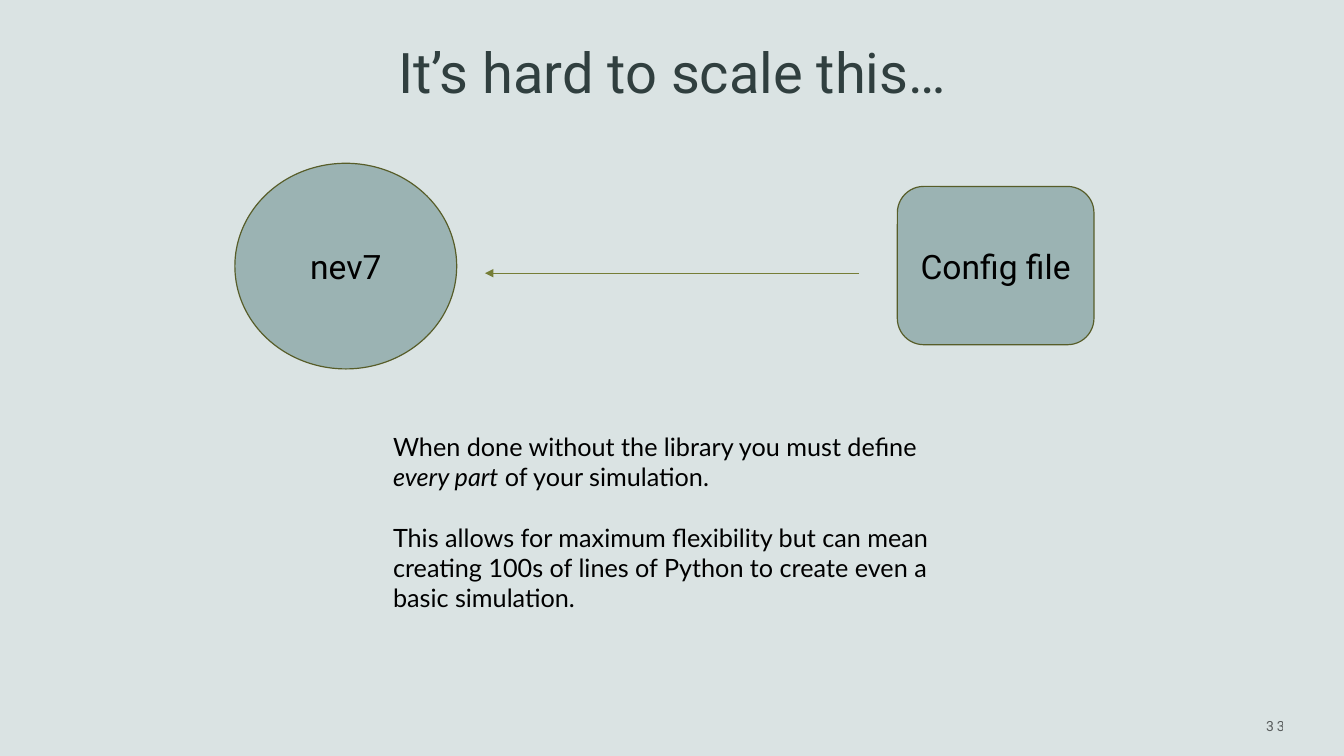
from lxml import etree
from pptx import Presentation
from pptx.dml.color import RGBColor
from pptx.enum.shapes import MSO_CONNECTOR, MSO_SHAPE
from pptx.enum.text import MSO_ANCHOR, MSO_AUTO_SIZE, PP_ALIGN
from pptx.oxml.ns import qn
from pptx.util import Inches, Pt

STRAIGHT = MSO_CONNECTOR.STRAIGHT
ELLIPSE, ROUNDED = MSO_SHAPE.OVAL, MSO_SHAPE.ROUNDED_RECTANGLE
TOP, MIDDLE, BOTTOM = MSO_ANCHOR.TOP, MSO_ANCHOR.MIDDLE, MSO_ANCHOR.BOTTOM
LEFT, CENTER, RIGHT = PP_ALIGN.LEFT, PP_ALIGN.CENTER, PP_ALIGN.RIGHT
NO_AUTOFIT = MSO_AUTO_SIZE.NONE

COLORS = {
    "background": "DAE3E3",
    "title": "303F3F",
    "text": "000000",
    "node": "9BB3B3",
    "outline": "575D29",
    "arrow": "767E37",
}
HEADING_FONT, BODY_FONT = "Roboto", "Lato"


def color(name):
    """Return a named colour."""
    return RGBColor.from_string(COLORS[name])


def format_run(run, size, font, color_name):
    """Set the size, typeface and colour of a run."""
    run.font.size = Pt(size)
    run.font.name = font
    run.font.color.rgb = color(color_name)


def write_line(shape, text, size, color_name="text", align=CENTER, anchor=MIDDLE):
    """Write one formatted line into a shape and return its run."""
    frame = shape.text_frame
    frame.text = text
    frame.word_wrap = True
    frame.vertical_anchor = anchor
    paragraph = frame.paragraphs[0]
    paragraph.alignment = align
    run = paragraph.runs[0]
    format_run(run, size, HEADING_FONT, color_name)
    return run


def add_title(slide, text):
    """Place and fill the title placeholder."""
    title = slide.shapes.title
    title.left, title.top = Inches(1.08), Inches(0.43)
    title.width, title.height = Inches(11.17), Inches(0.66)
    write_line(title, text, 40, "title", anchor=BOTTOM)
    frame = title.text_frame
    frame.auto_size = NO_AUTOFIT
    frame.margin_top = 0
    frame.margin_bottom = Inches(0.05)


def add_node(slide, kind, text, left, top, width, height):
    """Add a labelled, outlined node."""
    node = slide.shapes.add_shape(
        kind, Inches(left), Inches(top), Inches(width), Inches(height))
    node.shadow.inherit = False
    node.fill.solid()
    node.fill.fore_color.rgb = color("node")
    node.line.color.rgb = color("outline")
    node.line.width = Pt(0.85)
    write_line(node, text, 24)


def add_arrow(slide, start, end, y):
    """Add a horizontal arrow pointing to its end."""
    arrow = slide.shapes.add_connector(
        STRAIGHT, Inches(start), Inches(y), Inches(end), Inches(y))
    arrow.line.color.rgb = color("arrow")
    arrow.line.width = Pt(0.75)
    line = arrow.line._get_or_add_ln()
    etree.SubElement(line, qn("a:tailEnd"), type="triangle")
    etree.SubElement(arrow._element.spPr, qn("a:effectLst"))


def add_explanation(slide, paragraphs):
    """Add paragraphs given as lists of (text, italic) pieces."""
    box = slide.shapes.add_textbox(
        Inches(3.8), Inches(4.23), Inches(5.9), Inches(1.92))
    frame = box.text_frame
    frame.word_wrap = True
    frame.vertical_anchor = TOP
    for index, pieces in enumerate(paragraphs):
        paragraph = frame.add_paragraph() if index else frame.paragraphs[0]
        paragraph.alignment = LEFT
        paragraph.space_before = Pt(21.6 if index else 0)
        for text, italic in pieces:
            run = paragraph.add_run()
            run.text = text
            format_run(run, 18, BODY_FONT, "text")
            run.font.italic = italic


def add_page_number(slide, number):
    """Add the spaced, translucent page number."""
    box = slide.shapes.add_textbox(
        Inches(10.92), Inches(6.95), Inches(1.92), Inches(0.5))
    run = write_line(box, number, 10, align=RIGHT)
    properties = run.font._element
    properties.set("spc", "200")
    etree.SubElement(properties.find(".//" + qn("a:srgbClr")), qn("a:alpha"), val="60000")


def main():
    """Build and save the slide."""
    presentation = Presentation()
    presentation.slide_width = Inches(13.33)
    presentation.slide_height = Inches(7.5)
    slide = presentation.slides.add_slide(presentation.slide_layouts[5])
    slide.background.fill.solid()
    slide.background.fill.fore_color.rgb = color("background")

    add_title(slide, "It’s hard to scale this…")
    add_page_number(slide, "33")
    add_node(slide, ELLIPSE, "nev7", 2.33, 1.62, 2.2, 2.04)
    add_node(slide, ROUNDED, "Config file", 8.9, 1.85, 1.95, 1.57)
    add_arrow(slide, 8.52, 4.81, 2.71)
    add_explanation(slide, [
        [("When done without the library you must define ", False),
         ("every part", True),
         (" of your simulation.", False)],
        [("This allows for maximum flexibility but can mean creating 100s of "
          "lines of Python to create even a basic simulation.", False)],
    ])
    presentation.save("out.pptx")


if __name__ == "__main__":
    main()
